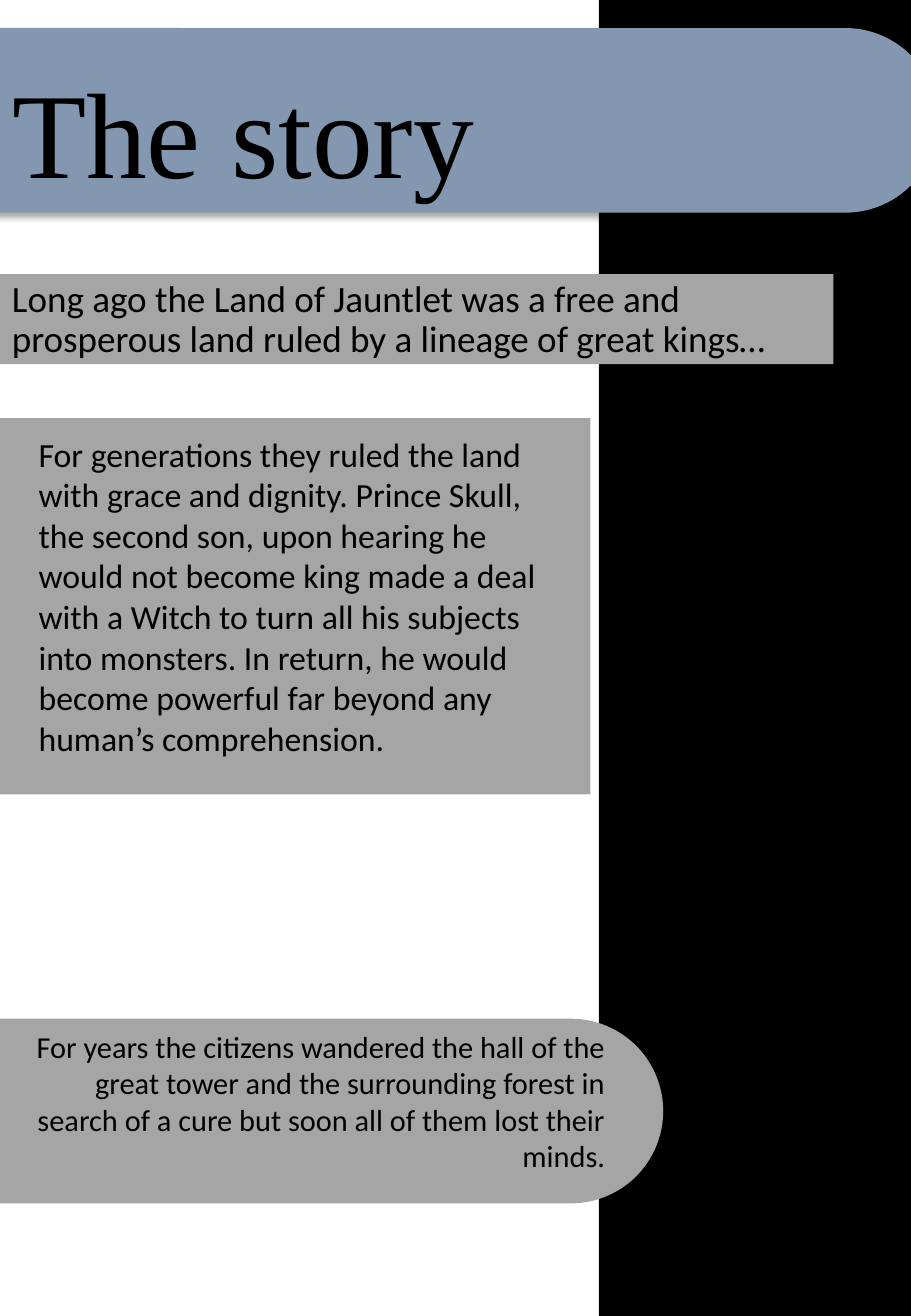
from lxml import etree
from pptx import Presentation
from pptx.dml.color import RGBColor
from pptx.enum.shapes import MSO_SHAPE as SHAPE
from pptx.enum.text import MSO_ANCHOR as ANCHOR, MSO_AUTO_SIZE as AUTO, PP_ALIGN as ALIGN
from pptx.oxml.ns import qn
from pptx.util import Pt


def rgb(value):
    return RGBColor.from_string(value)


class StoryPage:
    BLACK, GREY, BLUE = "000000", "A5A5A5", "8497B0"
    BODY_FONT, TITLE_FONT = "Calibri", "Times New Roman"

    def __init__(self, prs):
        self.s = prs.slides.add_slide(prs.slide_layouts[5])

    def panel(self, x, y, w, h, color, kind=SHAPE.RECTANGLE):
        sp = self.s.shapes.add_shape(kind, Pt(x), Pt(y), Pt(w), Pt(h))
        sp.shadow.inherit = False
        sp.fill.solid()
        sp.fill.fore_color.rgb = rgb(color)
        sp.line.fill.background()
        return sp

    def pill(self, x, y, w, h, color):
        sp = self.panel(x, y, w, h, color, SHAPE.ROUNDED_RECTANGLE)
        sp.adjustments[0] = 0.5
        return sp

    def drop_shadow(self, sp, blur, dist, alpha):
        effects = sp.element.spPr.find(qn("a:effectLst"))
        shadow = etree.SubElement(effects, qn("a:outerShdw"), blurRad=str(Pt(blur)),
                                  dist=str(Pt(dist)), dir="5400000", algn="t", rotWithShape="0")
        color = etree.SubElement(shadow, qn("a:srgbClr"), val=self.BLACK)
        etree.SubElement(color, qn("a:alpha"), val=str(alpha * 1000))

    def set_text(self, sp, text, size, font, align, spacing, anchor):
        tf = sp.text_frame
        tf.word_wrap = True
        tf.auto_size = AUTO.NONE
        tf.vertical_anchor = anchor
        p = tf.paragraphs[0]
        p.text = text
        p.alignment = align
        p.line_spacing = spacing
        p.font.size = Pt(size)
        p.font.name = font
        p.font.color.rgb = rgb(self.BLACK)

    def text(self, x, y, w, h, text, size, align=ALIGN.LEFT, spacing=1.0):
        sp = self.s.shapes.add_textbox(Pt(x), Pt(y), Pt(w), Pt(h))
        self.set_text(sp, text, size, self.BODY_FONT, align, spacing, ANCHOR.TOP)

    def title(self, x, y, w, h, text, size):
        sp = self.s.shapes.title
        sp.left, sp.top, sp.width, sp.height = Pt(x), Pt(y), Pt(w), Pt(h)
        self.set_text(sp, text, size, self.TITLE_FONT, ALIGN.LEFT, 0.9, ANCHOR.MIDDLE)
        sp.element.getparent().append(sp.element)


def main():
    prs = Presentation()
    prs.slide_width, prs.slide_height = Pt(540), Pt(779.76)
    page = StoryPage(prs)

    page.panel(355, 0, 185, 779.76, page.BLACK)

    page.panel(0, 162.5, 494, 53.3, page.GREY)
    page.text(0, 162.5, 502.5, 67,
              "Long ago the Land of Jauntlet was a free and prosperous land "
              "ruled by a lineage of great kings…", 22, spacing=0.9)

    page.pill(-85.7, 603.6, 478.8, 109.4, page.GREY)
    page.text(0, 605.5, 365.8, 116.6,
              "For years the citizens wandered the hall of the great tower and the "
              "surrounding forest in search of a cure but soon all of them lost their minds.",
              18, ALIGN.RIGHT)

    page.panel(0, 247.7, 350, 223, page.GREY)
    page.text(15.8, 253.4, 319, 223,
              "For generations they ruled the land with grace and dignity. Prince Skull, "
              "the second son, upon hearing he would not become king made a deal with a "
              "Witch to turn all his subjects into monsters. In return, he would become "
              "powerful far beyond any human’s comprehension.", 20)

    banner = page.pill(-85.7, 16.6, 641.5, 109.4, page.BLUE)
    page.drop_shadow(banner, 3.5, 2.2, 32)
    page.title(0, 58.3, 296.6, 48.2, "The story", 72)

    prs.save("out.pptx")


if __name__ == "__main__":
    main()
